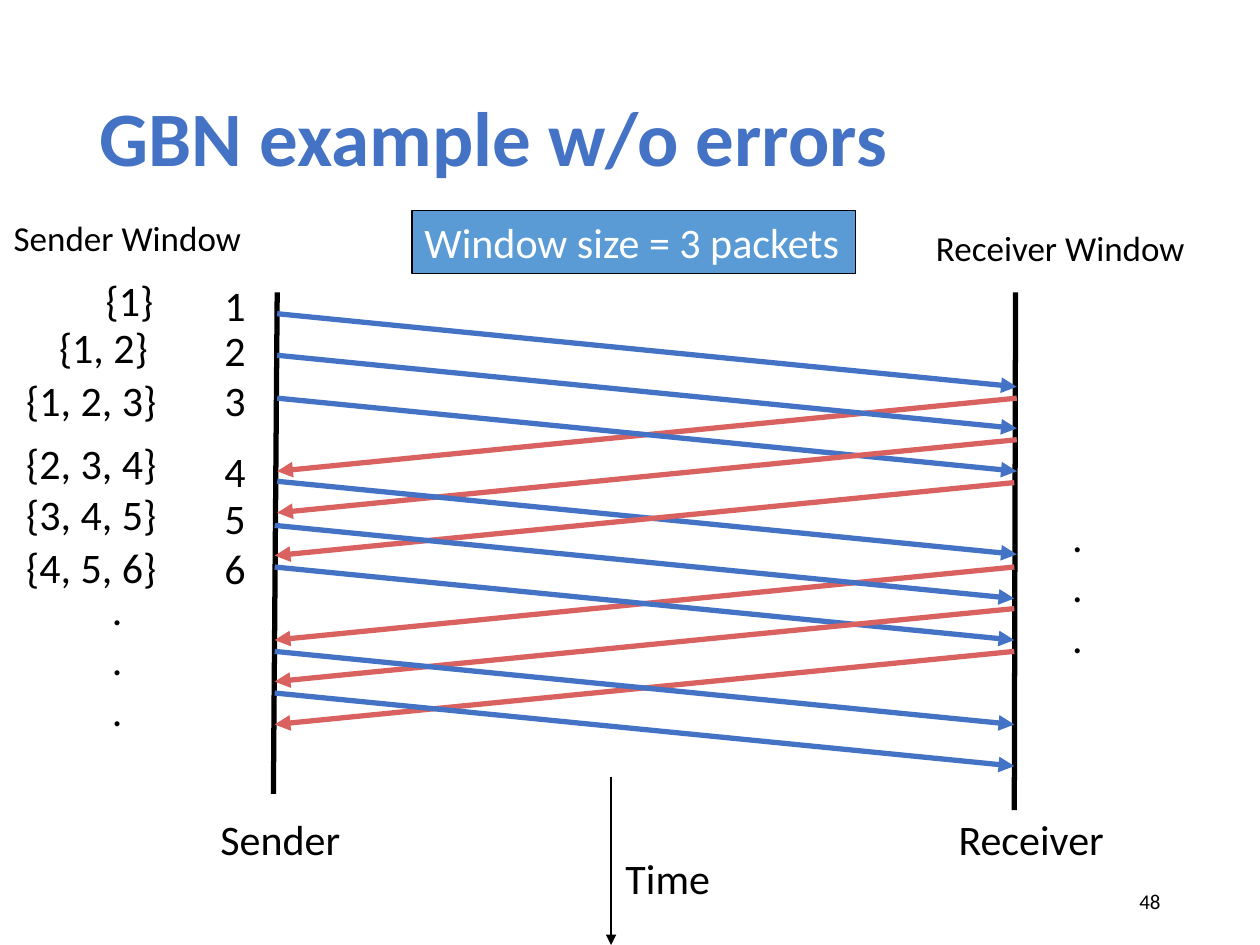
from pptx import Presentation
from pptx.dml.color import RGBColor
from pptx.enum.shapes import MSO_CONNECTOR as Conn, MSO_SHAPE as Shape
from pptx.enum.text import MSO_ANCHOR as Anchor, MSO_AUTO_SIZE as Auto, PP_ALIGN as Align
from pptx.oxml.ns import qn
from pptx.util import Inches, Pt
from lxml.etree import SubElement

BLACK = RGBColor(0x00, 0x00, 0x00)
WHITE = RGBColor(0xFF, 0xFF, 0xFF)
BLUE = RGBColor(0x44, 0x72, 0xC4)
RED = RGBColor(0xD9, 0x61, 0x5F)
SKY = RGBColor(0x5B, 0x9B, 0xD5)

prs = Presentation()
prs.slide_width, prs.slide_height = Inches(10), Inches(7.5)
slide = prs.slides.add_slide(prs.slide_layouts[5])
shapes = slide.shapes


def add_line(x1, y1, x2, y2, color, width, arrow=True):
    line = shapes.add_connector(Conn.STRAIGHT, Inches(x1), Inches(y1), Inches(x2), Inches(y2))
    line.line.color.rgb = color
    line.line.width = Pt(width)
    if arrow:
        SubElement(line.line._get_or_add_ln(), qn("a:tailEnd"), type="triangle")
    SubElement(line._element.spPr, qn("a:effectLst"))


def add_text(lines, x, y, w, h, size=24, align=Align.LEFT, anchor=Anchor.TOP,
             color=BLACK, box=None, inset=0.1, wrap=False):
    box = box or shapes.add_textbox(Inches(x), Inches(y), Inches(w), Inches(h))
    frame = box.text_frame
    frame.word_wrap = wrap
    frame.auto_size = Auto.NONE if wrap else Auto.SHAPE_TO_FIT_TEXT
    frame.vertical_anchor = anchor
    frame.margin_left = frame.margin_right = Inches(inset)
    frame.margin_top = frame.margin_bottom = Inches(inset / 2)
    for i, words in enumerate(lines):
        para = frame.add_paragraph() if i else frame.paragraphs[0]
        para.alignment = align
        run = para.add_run()
        run.text = words
        run.font.name = "Calibri"
        run.font.size = Pt(size)
        run.font.color.rgb = color


# Title
title = shapes.title
title.left, title.top = Inches(0.69), Inches(0.4)
title.width, title.height = Inches(8.62), Inches(1.45)
add_text(["GBN example w/o errors"], 0, 0, 0, 0, 44, anchor=Anchor.MIDDLE,
         color=BLUE, box=title, wrap=True)
head = title.text_frame.paragraphs[0]
head.line_spacing = 0.9
head.runs[0].font.bold = True

# Time axis
add_line(4.85, 6.17, 4.85, 7.5, BLACK, 1)
add_text(["Time"], 4.83, 6.72, 0.94, 0.5, align=Align.CENTER, anchor=Anchor.MIDDLE)

# Window size box
banner = shapes.add_shape(Shape.RECTANGLE, Inches(3.27), Inches(1.67), Inches(3.52), Inches(0.5))
banner.shadow.inherit = False
banner.fill.solid()
banner.fill.fore_color.rgb = SKY
banner.line.color.rgb = BLACK
banner.line.width = Pt(0.75)
add_text(["Window size = 3 packets"], 0, 0, 0, 0, color=WHITE, box=banner)

# Sender and receiver lifelines
add_line(2.2, 2.32, 2.17, 6.3, BLACK, 3, arrow=False)
add_line(8.06, 2.32, 8.05, 6.43, BLACK, 3, arrow=False)
for name, x, w in (("Sender", 1.58, 1.29), ("Receiver", 7.42, 1.53)):
    add_text([name], x, 6.41, w, 0.5, align=Align.CENTER, anchor=Anchor.MIDDLE)

# Packets run right in blue, acknowledgements run left in red
DROP = 0.58
messages = [
    (BLUE, 2.49), (RED, 3.16), (BLUE, 2.82), (BLUE, 3.16), (RED, 3.49),
    (BLUE, 3.82), (RED, 3.83), (RED, 4.5), (BLUE, 4.17), (BLUE, 4.5),
    (RED, 4.83), (RED, 5.17), (BLUE, 5.17), (BLUE, 5.5),
]
for color, y in messages:
    left, right = (2.2, 8.07) if y < 3.83 else (2.18, 8.05)
    start, end = (left, right) if color == BLUE else (right, left)
    add_line(start, y, end, y + DROP, color, 3)

# Packet numbers with the sender window at each step
steps = [
    (2.17, "{1}", 0.74, 2.13, 0.61),
    (2.53, "{1, 2}", 0.37, 2.5, 1.02),
    (2.93, "{1, 2, 3}", 0.11, 2.92, 1.4),
    (3.49, "{2, 3, 4}", 0.11, 3.42, 1.4),
    (3.86, "{3, 4, 5}", 0.11, 3.83, 1.4),
    (4.26, "{4, 5, 6}", 0.11, 4.25, 1.4),
]
for num, (top, window, x, y, w) in enumerate(steps, 1):
    add_text([str(num)], 1.69, top, 0.37, 0.49, inset=0.09)
    add_text([window], x, y, w, 0.5)

# Window headings and trailing dots
add_text(["Sender Window"], 0.01, 1.67, 2.28, 0.43, 20)
add_text(["Receiver Window"], 7.33, 1.75, 2.5, 0.43, 20)
for x, y in ((0.79, 4.58), (8.41, 4)):
    add_text(["."] * 3, x, y, 0.29, 1.31)

# Slide number
add_text(["48"], 7.06, 6.95, 2.25, 0.4, 12, Align.RIGHT, Anchor.MIDDLE, wrap=True)

prs.save("out.pptx")
